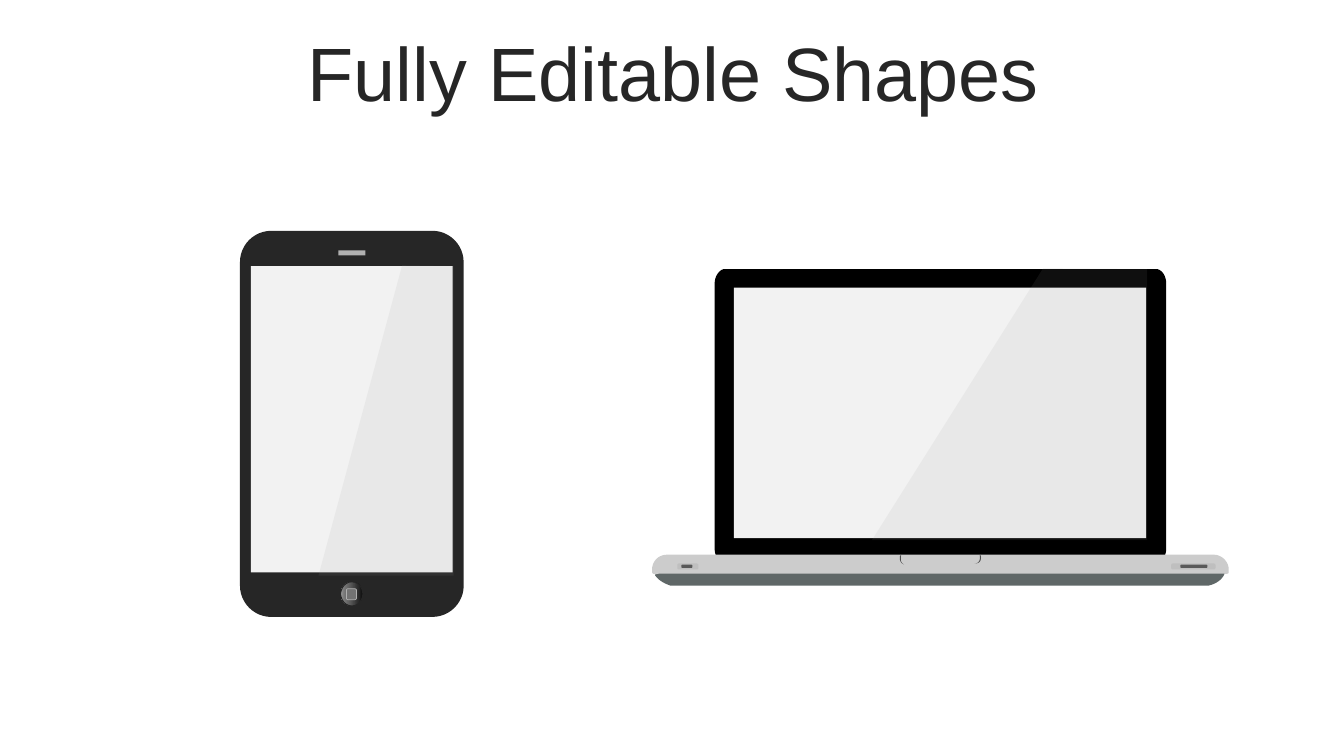
"""Build a slide with a phone and a laptop drawn from editable shapes."""
from dataclasses import dataclass
from typing import Optional, Union

from lxml.etree import SubElement
from pptx import Presentation
from pptx.dml.color import RGBColor
from pptx.enum.shapes import MSO_SHAPE
from pptx.enum.text import MSO_ANCHOR, PP_ALIGN
from pptx.oxml.ns import qn
from pptx.shapes.autoshape import Shape
from pptx.shapes.shapetree import GroupShapes
from pptx.slide import Slide
from pptx.util import Pt

COLORS = {
    "ink": "262626", "black": "000000", "screen": "F2F2F2", "glare": "999999",
    "underside": "5F6767", "base": "CCCCCC", "notch": "4D4D4D",
    "socket": "BFBFBF", "slot": "595959", "speaker": "B0B0B0",
    "button": "737373", "ring_dark": "0F0F0F", "ring_mid": "808080",
}
RING_STOPS = [(0, "ring_dark"), (56, "slot"), (91, "ring_mid"), (100, "socket")]
CURVE_STEPS = 10
Steps = list[tuple[float, ...]]


@dataclass(frozen=True)
class Block:
    left: float
    top: float
    width: float
    height: float
    color: str
    preset: MSO_SHAPE = MSO_SHAPE.RECTANGLE
    rounding: Optional[float] = None
    line: Optional[str] = None
    line_width: float = 0
    stops: Optional[list] = None


@dataclass(frozen=True)
class Outline:
    color: str
    contours: list[Steps]
    opacity: Optional[int] = None


Part = Union[Block, Outline]
ROUND = MSO_SHAPE.ROUNDED_RECTANGLE

LAPTOP: list[Part] = [
    Outline("underside", [[
        (863.3, 418.3), (863.3, 418.3, 871.9, 416.9, 874.8, 409.7),
        (874.8, 408.2, 873.4, 406.1, 871.2, 406.1), (472.3, 407.5),
        (470.2, 407.5, 468, 409, 468, 411.1),
        (470.9, 415.4, 476.6, 417.6, 478.8, 418.3)]]),
    Outline("black", [[
        (833, 392.4), (833, 397.4, 829.4, 401.8, 825.8, 401.8), (517.7, 401.8),
        (514.1, 401.8, 510.5, 397.4, 510.5, 392.4), (510.5, 202.3),
        (510.5, 197.3, 514.1, 192.2, 517.7, 192.2), (825.8, 192.2),
        (829.4, 192.2, 833, 196.6, 833, 202.3)]]),
    Block(524.2, 205.4, 294.5, 179.1, "screen"),
    Outline("base", [[
        (476.6, 396.2), (866.9, 396.2), (872.6, 396.2, 877.7, 401, 877.7, 406.8),
        (877.7, 409), (877.7, 409, 877.7, 410.4, 874.1, 409.7), (470.9, 409.7),
        (468, 410.4, 465.8, 410.4, 465.8, 408.2), (465.8, 406.8),
        (465.8, 401, 470.2, 396.2, 476.6, 396.2)]]),
    Outline("notch", [
        [(643, 396.7), (643.7, 396.7), (643.7, 396.7, 642.2, 401.8, 645.8, 403.2),
         (641.5, 401.8, 643, 396.7, 643, 396.7)],
        [(699.8, 396.7), (700.6, 396.7), (701.3, 401.8, 698.4, 402.5, 696.2, 402.5),
         (698.4, 402.5, 700.6, 401, 699.8, 396.7)]]),
    Block(483.8, 402.5, 15.1, 4.3, "socket", ROUND, 0.28),
    Block(486.7, 403.4, 7.9, 2.2, "slot", ROUND, 0.28),
    Block(836.6, 402.5, 31.7, 4.3, "socket", ROUND, 0.28),
    Block(843.1, 403.4, 19.4, 2.2, "slot", ROUND, 0.28),
    Outline("glare", [[(745.2, 191.5), (819.4, 192.2), (819.4, 385.9),
                       (622.8, 385.9)]], opacity=10),
]

PHONE: list[Part] = [
    Block(171.4, 164.9, 159.8, 275.8, "ink", ROUND, 0.14),
    Block(241.7, 178.8, 19.4, 3.6, "speaker"),
    Block(243.4, 415.6, 15.8, 17.3, "slot", MSO_SHAPE.OVAL, line="ink",
          stops=RING_STOPS),
    Block(247.5, 420.5, 7.2, 7.9, "button", ROUND, line="speaker", line_width=0.5),
    Block(179.3, 190.1, 144, 218.9, "screen"),
    Outline("glare", [[(287.3, 189.4), (324, 190.1), (324, 411.1),
                       (227.5, 411.1)]], opacity=10),
]


def rgb(name: str) -> RGBColor:
    return RGBColor.from_string(COLORS[name])


def trace(steps: Steps) -> list[tuple[int, int]]:
    points = [steps[0]]
    for step in steps[1:]:
        if len(step) == 2:
            points.append(step)
            continue
        controls = [points[-1], step[:2], step[2:4], step[4:]]
        for index in range(1, CURVE_STEPS + 1):
            t = index / CURVE_STEPS
            weights = ((1 - t) ** 3, 3 * t * (1 - t) ** 2, 3 * t * t * (1 - t), t ** 3)
            points.append(tuple(
                sum(weight * control[axis] for weight, control in zip(weights, controls))
                for axis in (0, 1)))
    return [(Pt(x), Pt(y)) for x, y in points]


def paint(shape: Shape, color: str, opacity: Optional[int] = None) -> None:
    shape.shadow.inherit = False
    shape.line.fill.background()
    shape.fill.solid()
    shape.fill.fore_color.rgb = rgb(color)
    if opacity is not None:
        tint = shape.element.spPr.find(qn("a:solidFill"))[0]
        SubElement(tint, qn("a:alpha"), val=str(opacity * 1000))


def paint_gradient(shape: Shape, stops: list[tuple[int, str]]) -> None:
    shape.fill.gradient()
    shape.fill.gradient_angle = 180
    stop_list = shape.element.spPr.find(qn("a:gradFill")).find(qn("a:gsLst"))
    for old_stop in list(stop_list):
        stop_list.remove(old_stop)
    for position, color in stops:
        stop = SubElement(stop_list, qn("a:gs"), pos=str(position * 1000))
        SubElement(stop, qn("a:srgbClr"), val=COLORS[color])


def draw_block(shapes: GroupShapes, block: Block) -> None:
    shape = shapes.add_shape(block.preset, Pt(block.left), Pt(block.top),
                             Pt(block.width), Pt(block.height))
    paint(shape, block.color)
    if block.rounding is not None:
        shape.adjustments[0] = block.rounding
    if block.stops:
        paint_gradient(shape, block.stops)
    if block.line:
        shape.line.color.rgb = rgb(block.line)
        shape.line.width = Pt(block.line_width)


def draw_outline(shapes: GroupShapes, outline: Outline) -> None:
    first, *rest = [trace(steps) for steps in outline.contours]
    builder = shapes.build_freeform(*first[0], scale=1.0)
    builder.add_line_segments(first[1:], close=True)
    for contour in rest:
        builder.move_to(*contour[0])
        builder.add_line_segments(contour[1:], close=True)
    paint(builder.convert_to_shape(), outline.color, outline.opacity)


def draw_device(page: Slide, parts: list[Part]) -> None:
    group = page.shapes.add_group_shape()
    for part in parts:
        if isinstance(part, Block):
            draw_block(group.shapes, part)
        else:
            draw_outline(group.shapes, part)


def add_text(page: Slide, text: str, *, left: float, top: float, width: float,
             height: float, size: float, color: str, font: str = "Arial") -> None:
    box = page.shapes.add_textbox(Pt(left), Pt(top), Pt(width), Pt(height))
    frame = box.text_frame
    frame.word_wrap = True
    frame.vertical_anchor = MSO_ANCHOR.MIDDLE
    para = frame.paragraphs[0]
    para.alignment = PP_ALIGN.CENTER
    para.line_spacing = 0.9
    span = para.add_run()
    span.text = text
    span.font.name = font
    span.font.size = Pt(size)
    span.font.color.rgb = rgb(color)


def main() -> None:
    deck = Presentation()
    deck.slide_width, deck.slide_height = Pt(960), Pt(540)
    page = deck.slides.add_slide(deck.slide_layouts[6])
    add_text(page, "Fully Editable Shapes", left=25.2, top=26.4, width=911.5,
             height=56.9, size=54, color="ink")
    draw_device(page, LAPTOP)
    draw_device(page, PHONE)
    deck.save("out.pptx")


if __name__ == "__main__":
    main()
